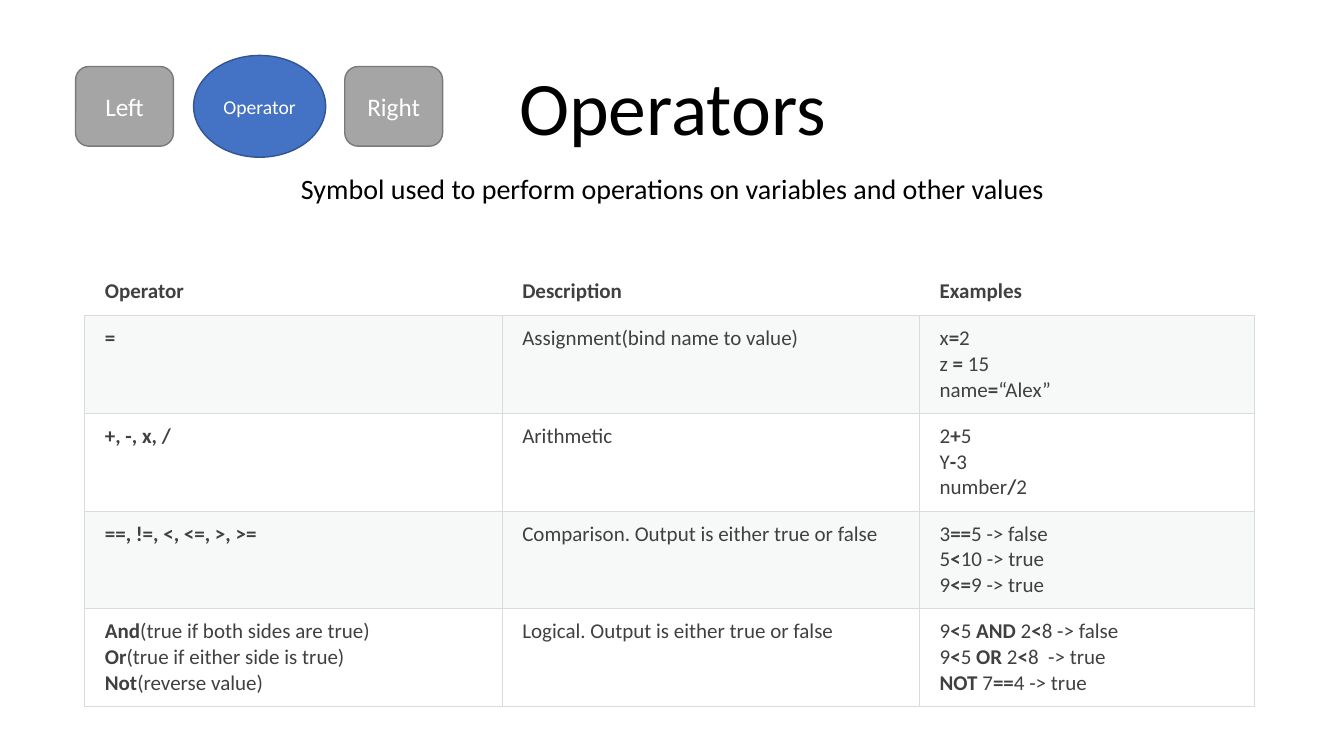
"""Build a slide that explains operators with a small diagram and a table."""
from lxml.etree import SubElement
from pptx import Presentation
from pptx.dml.color import RGBColor
from pptx.enum.shapes import MSO_SHAPE as Preset
from pptx.enum.text import MSO_ANCHOR as Anchor, MSO_AUTO_SIZE as AutoSize, PP_ALIGN as Align
from pptx.oxml.ns import qn
from pptx.util import Pt

PX = 9144
FONT = "Calibri"
COLORS = {
    "black": "000000",
    "white": "FFFFFF",
    "body": "404040",
    "gray": "A5A5A5",
    "gray_line": "7A7A7A",
    "blue": "4472C4",
    "blue_line": "325491",
    "border": "D8DCDC",
    "band": "D8DEDC",
}
COLUMN_WIDTHS = [414, 414, 332]
HEADER_HEIGHT, ROW_HEIGHT = 48, 97
ROWS = [
    ["*Operator*", "*Description*", "*Examples*"],
    ["*=*", "Assignment(bind name to value)", "x*=*2\nz *=* 15\nname*=*“Alex”"],
    ["*+, -, x, /*", "Arithmetic", "2*+*5\nY*-*3\nnumber*/*2"],
    ["*==, !=, <, <=, >, >=*", "Comparison. Output is either true or false",
     "3*==*5 -> false\n5*<*10 -> true\n9*<=*9 -> true"],
    ["*And*(true if both sides are true)\n*Or*(true if either side is true)\n*Not*(reverse value)",
     "Logical. Output is either true or false",
     "9*<*5 *AND* 2*<*8 -> false\n9*<*5 *OR* 2*<*8  -> true\n*NOT* 7*==*4 -> true"],
]


def color(name):
    """Return a palette colour."""
    return RGBColor.from_string(COLORS[name])


def place(shape, left, top, width, height):
    """Move and size a shape in px."""
    shape.left, shape.top = left * PX, top * PX
    shape.width, shape.height = width * PX, height * PX


def write(frame, text, size, color_name, align=Align.LEFT, spacing=None):
    """Fill a text frame; parts between asterisks are bold."""
    for index, line in enumerate(text.split("\n")):
        paragraph = frame.add_paragraph() if index else frame.paragraphs[0]
        paragraph.alignment = align
        if spacing:
            paragraph.line_spacing = spacing
        for position, part in enumerate(line.split("*")):
            if part:
                run = paragraph.add_run()
                run.text = part
                run.font.name, run.font.size = FONT, Pt(size)
                run.font.bold = position % 2 == 1
                run.font.color.rgb = color(color_name)


def add_heading(shape, box, text, size, anchor):
    """Place and format a centred heading."""
    place(shape, *box)
    frame = shape.text_frame
    frame.word_wrap = True
    frame.auto_size = AutoSize.NONE
    frame.vertical_anchor = anchor
    write(frame, text, size, "black", Align.CENTER, 0.9)


def add_operand(slide, preset, box, text, size, fill):
    """Add one labelled shape of the expression diagram."""
    shape = slide.shapes.add_shape(preset, *(value * PX for value in box))
    shape.shadow.inherit = False
    shape.fill.solid()
    shape.fill.fore_color.rgb = color(fill)
    shape.line.color.rgb = color(fill + "_line")
    shape.line.width = Pt(1)
    shape.text_frame.vertical_anchor = Anchor.MIDDLE
    write(shape.text_frame, text, size, "white", Align.CENTER)


def set_borders(cell, visible):
    """Draw the listed cell sides and clear the others."""
    properties = cell._tc.get_or_add_tcPr()
    for side in "LRTB":
        line = SubElement(properties, qn("a:ln" + side), w=str(Pt(0.75)))
        if side in visible:
            fill = SubElement(line, qn("a:solidFill"))
            SubElement(fill, qn("a:srgbClr"), val=COLORS["border"])
        else:
            SubElement(line, qn("a:noFill"))


def fill_cell(cell, banded):
    """Give a banded cell a translucent fill and others none."""
    if banded:
        cell.fill.solid()
        cell.fill.fore_color.rgb = color("band")
        tint = cell._tc.tcPr.find(".//" + qn("a:solidFill") + "/" + qn("a:srgbClr")
                                  + "[@val='" + COLORS["band"] + "']")
        SubElement(tint, qn("a:alpha"), val="20000")
    else:
        cell.fill.background()


def add_operator_table(slide, left, top):
    """Add the table of operators."""
    height = HEADER_HEIGHT + ROW_HEIGHT * (len(ROWS) - 1)
    table = slide.shapes.add_table(len(ROWS), len(COLUMN_WIDTHS), left * PX, top * PX,
                                   sum(COLUMN_WIDTHS) * PX, height * PX).table
    table.first_row = table.horz_banding = False
    for column, width in zip(table.columns, COLUMN_WIDTHS):
        column.width = width * PX
    for row_index, texts in enumerate(ROWS):
        table.rows[row_index].height = (ROW_HEIGHT if row_index else HEADER_HEIGHT) * PX
        for column_index, text in enumerate(texts):
            cell = table.cell(row_index, column_index)
            cell.margin_left, cell.margin_right = 20 * PX, 12 * PX
            cell.margin_top = cell.margin_bottom = 10 * PX
            cell.vertical_anchor = Anchor.TOP if row_index else Anchor.MIDDLE
            set_borders(cell, "LRTB" if row_index else "B")
            fill_cell(cell, row_index % 2 == 1)
            write(cell.text_frame, text, 15, "body")


def main():
    """Build and save the slide."""
    presentation = Presentation()
    presentation.slide_width, presentation.slide_height = 1333 * PX, 750 * PX
    slide = presentation.slides.add_slide(presentation.slide_layouts[5])
    add_heading(slide.shapes.title, (58, 54, 1218, 102), "Operators", 54, Anchor.BOTTOM)
    subtitle = slide.shapes.add_textbox(0, 0, PX, PX)
    add_heading(subtitle, (167, 169, 1000, 46),
                "Symbol used to perform operations on variables and other values", 20, Anchor.TOP)
    add_operator_table(slide, 84, 265)
    for left, text in ((342, "Right"), (75, "Left")):
        add_operand(slide, Preset.ROUNDED_RECTANGLE, (left, 66, 97, 79), text, 18, "gray")
    add_operand(slide, Preset.OVAL, (192, 55, 131, 101), "Operator", 14, "blue")
    presentation.save("out.pptx")


if __name__ == "__main__":
    main()
